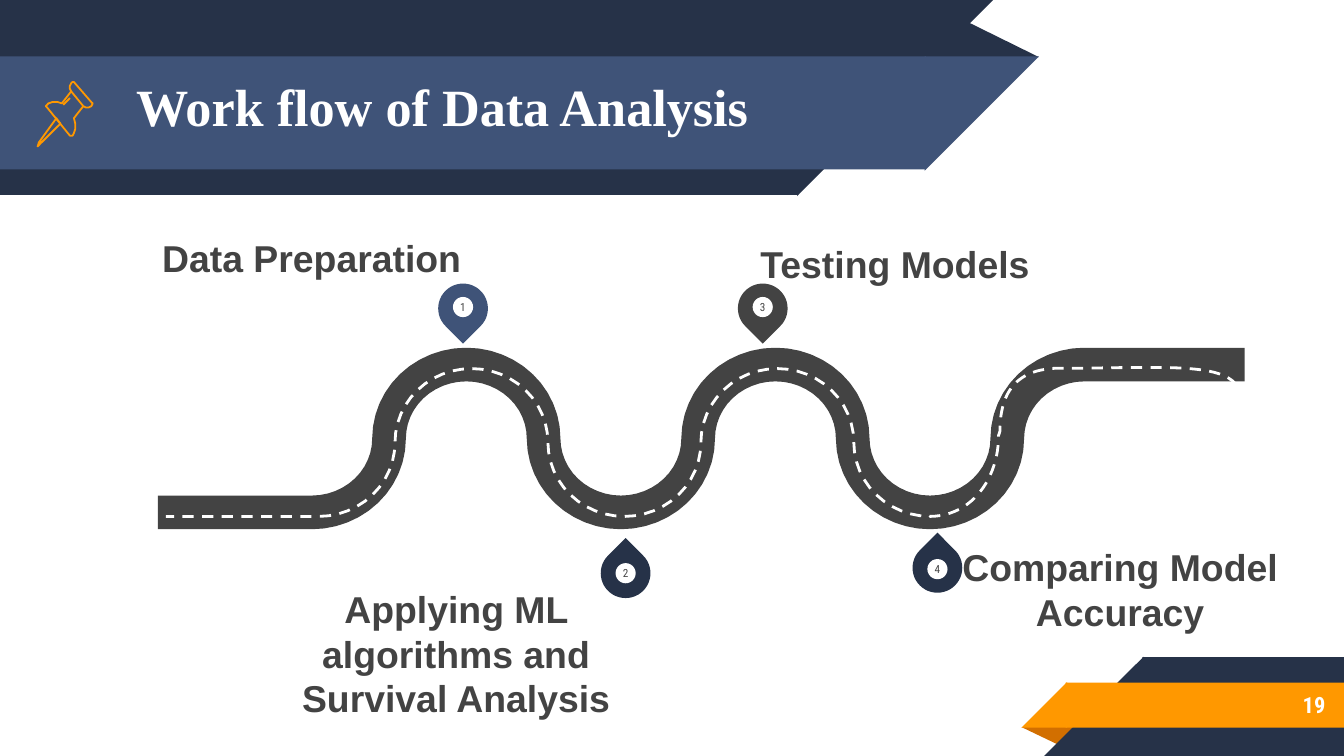
from math import cos, pi, sin

from pptx import Presentation
from pptx.dml.color import RGBColor
from pptx.enum.dml import MSO_LINE
from pptx.enum.shapes import MSO_SHAPE as Shape
from pptx.enum.text import MSO_ANCHOR as Anchor, PP_ALIGN as Align
from pptx.util import Inches, Pt

NAVY = RGBColor(0x26, 0x32, 0x48)
BLUE = RGBColor(0x3F, 0x53, 0x78)
ORANGE = RGBColor(0xFF, 0x98, 0x00)
RUST = RGBColor(0xD2, 0x6F, 0x00)
GREY = RGBColor(0x43, 0x43, 0x43)
WHITE = RGBColor(0xFF, 0xFF, 0xFF)

deck = Presentation()
deck.slide_width = Inches(10)
deck.slide_height = deck.slide_width * 9 // 16
page = deck.slides.add_slide(deck.slide_layouts[6])
CELL = deck.slide_width / 100


def add_block(kind, left, top, width, height, color, turn=0, adjust=None):
    cells = [round(n * CELL) for n in (left, top, width, height)]
    block = page.shapes.add_shape(kind, *cells)
    block.shadow.inherit = False
    block.fill.solid()
    block.fill.fore_color.rgb = color
    block.line.fill.background()
    block.rotation = turn
    if adjust is not None:
        block.adjustments[0] = adjust
    return block


def add_outline(points, color, weight, close=False):
    spots = [(round(x * CELL), round(y * CELL)) for x, y in points]
    builder = page.shapes.build_freeform(*spots[0], scale=1.0)
    builder.add_line_segments(spots[1:], close=close)
    outline = builder.convert_to_shape()
    outline.shadow.inherit = False
    outline.fill.background()
    outline.line.color.rgb = color
    outline.line.width = Pt(weight)
    return outline


for kind, left, top, width, height, color, turn, adjust in [
    (Shape.ISOSCELES_TRIANGLE, 68.8, 1.4, 8.5, 2.85, NAVY, 0, 0.32),
    (Shape.RECTANGLE, 0, 0, 59.4, 14.5, NAVY, 0, None),
    (Shape.RIGHT_TRIANGLE, 59.3, 0, 14.6, 14.6, NAVY, 90, None),
    (Shape.RECTANGLE, 0, 4.2, 68.9, 8.4, BLUE, 0, None),
    (Shape.RIGHT_TRIANGLE, 68.8, 4.2, 8.5, 8.5, BLUE, 90, None),
    (Shape.ISOSCELES_TRIANGLE, 76, 54.1, 4.3, 1.4, RUST, 180, 0.32),
    (Shape.RECTANGLE, 85, 48.9, 15, 7.35, NAVY, 0, None),
    (Shape.RIGHT_TRIANGLE, 77.7, 48.85, 7.4, 7.4, NAVY, 270, None),
    (Shape.RECTANGLE, 79.3, 50.8, 20.7, 3.35, ORANGE, 0, None),
    (Shape.RIGHT_TRIANGLE, 76, 50.75, 3.4, 3.4, ORANGE, 270, None),
]:
    add_block(kind, left, top, width, height, color, turn, adjust)

STEPS = 24
AMPLITUDE = 5.5
waves = []
for start, first, stride, middle, bends in [(11.75, 23.2, 11.5, 32.63, 6), (12.35, 23.7, 11.38, 32.93, 5)]:
    wave = [(start, middle + AMPLITUDE)]
    for bend in range(bends):
        side = 1 if bend % 2 == 0 else -1
        first_step = STEPS // 2 if bend == 0 else 0
        last_step = STEPS // 2 if bend == bends - 1 else STEPS
        for step in range(first_step, last_step + 1):
            angle = pi * step / STEPS
            wave.append((first + stride * (bend - cos(angle) / 2), middle + side * AMPLITUDE * sin(angle)))
    waves.append(wave)
road, lane = waves
road.append((92.6, 27.13))
for curve in [
    [(69.2, 38.43), (72.4, 38.4), (74.3, 35.5), (74.3, 32.4)],
    [(74.4, 32.1), (74.4, 29.1), (75.7, 27.4), (78.9, 27.4)],
    [(80.6, 27.4), (88.5, 27.3), (92.4, 27), (92.4, 30)],
]:
    for step in range(STEPS + 1):
        t = step / STEPS
        weights = [(1 - t) ** 3, 3 * t * (1 - t) ** 2, 3 * t * t * (1 - t), t ** 3]
        lane.append([sum(w * spot[axis] for w, spot in zip(weights, curve)) for axis in (0, 1)])
add_outline(road[::-1], GREY, 18)
add_outline(lane[::-1], WHITE, 1.5).line.dash_style = MSO_LINE.DASH

texts = []
for number, left, top, color, turn, drop in [
    ("1", 32.6, 21.1, BLUE, 135, 1),
    ("3", 54.9, 21.1, GREY, 135, 1),
    ("4", 67.9, 40.4, NAVY, 315, 1.2),
    ("2", 44.7, 40.8, NAVY, 315, 1.1),
]:
    add_block(Shape.TEAR, left, top, 3.7, 3.7, color, turn, 1)
    dot = add_block(Shape.OVAL, left + 1.1, top + drop, 1.5, 1.5, WHITE)
    texts.append((dot, number, "Roboto Condensed", 6, GREY, False, Align.CENTER, Anchor.MIDDLE, 0))

for words, left, top, width, height, *style in [
    ("Work flow of Data Analysis", 9.15, 5.1, 56, 5.5, "Times New Roman", 28, WHITE, True, Align.LEFT, Anchor.MIDDLE, 1),
    ("19", 83.3, 50.7, 16.3, 3.5, "Roboto Condensed", 12, WHITE, True, Align.RIGHT, Anchor.MIDDLE, 1),
    ("Data Preparation", 11.8, 18.5, 22.8, 2.3, "Arial", 20, GREY, True, Align.CENTER, Anchor.BOTTOM, 0),
    ("Testing Models", 52.4, 18.3, 28.4, 3, "Arial", 20, GREY, True, Align.CENTER, Anchor.BOTTOM, 0),
    ("Applying ML algorithms and Survival Analysis", 22.1, 43.6, 23.7, 9.8, "Arial", 20, GREY, True, Align.CENTER, Anchor.TOP, 0),
    ("Comparing Model Accuracy", 69, 40.5, 28.7, 4.4, "Arial", 20, GREY, True, Align.CENTER, Anchor.TOP, 0),
]:
    box = page.shapes.add_textbox(*[round(n * CELL) for n in (left, top, width, height)])
    texts.append((box, words, *style))

for box, words, font, size, color, bold, align, anchor, inset in texts:
    frame = box.text_frame
    frame.word_wrap = True
    frame.vertical_anchor = anchor
    frame.margin_left = frame.margin_right = frame.margin_top = frame.margin_bottom = round(inset * CELL)
    para = frame.paragraphs[0]
    para.alignment = align
    span = para.add_run()
    span.text = words
    span.font.name, span.font.size, span.font.bold = font, Pt(size), bold
    span.font.color.rgb = color

needle = [(4.2, 8.8), (2.9, 10.6), (2.8, 10.9), (3, 10.7), (4.5, 9.2)]
cap = [(5.3, 6.8), (6.2, 7.9), (6.4, 8), (6.6, 8), (6.8, 7.9), (6.9, 7.7), (6.8, 7.6),
       (5.5, 6.1), (5.4, 6.1), (5.3, 6.2), (5.2, 6.4), (5.2, 6.6)]
body = [(5.3, 6.8), (4.6, 7.7), (4.3, 7.6), (3.9, 7.6), (3.6, 7.7), (3.4, 7.9), (3.5, 8),
        (5.2, 10.1), (5.4, 10.1), (5.5, 9.9), (5.6, 9.6), (5.6, 9.2), (5.5, 8.8), (6.2, 7.9)]
glint = [(4.7, 7.8), (5.2, 7.3)]
for points, close in [(needle, True), (cap, True), (body, False), (glint, False)]:
    add_outline(points, ORANGE, 0.96, close)

deck.save("out.pptx")
